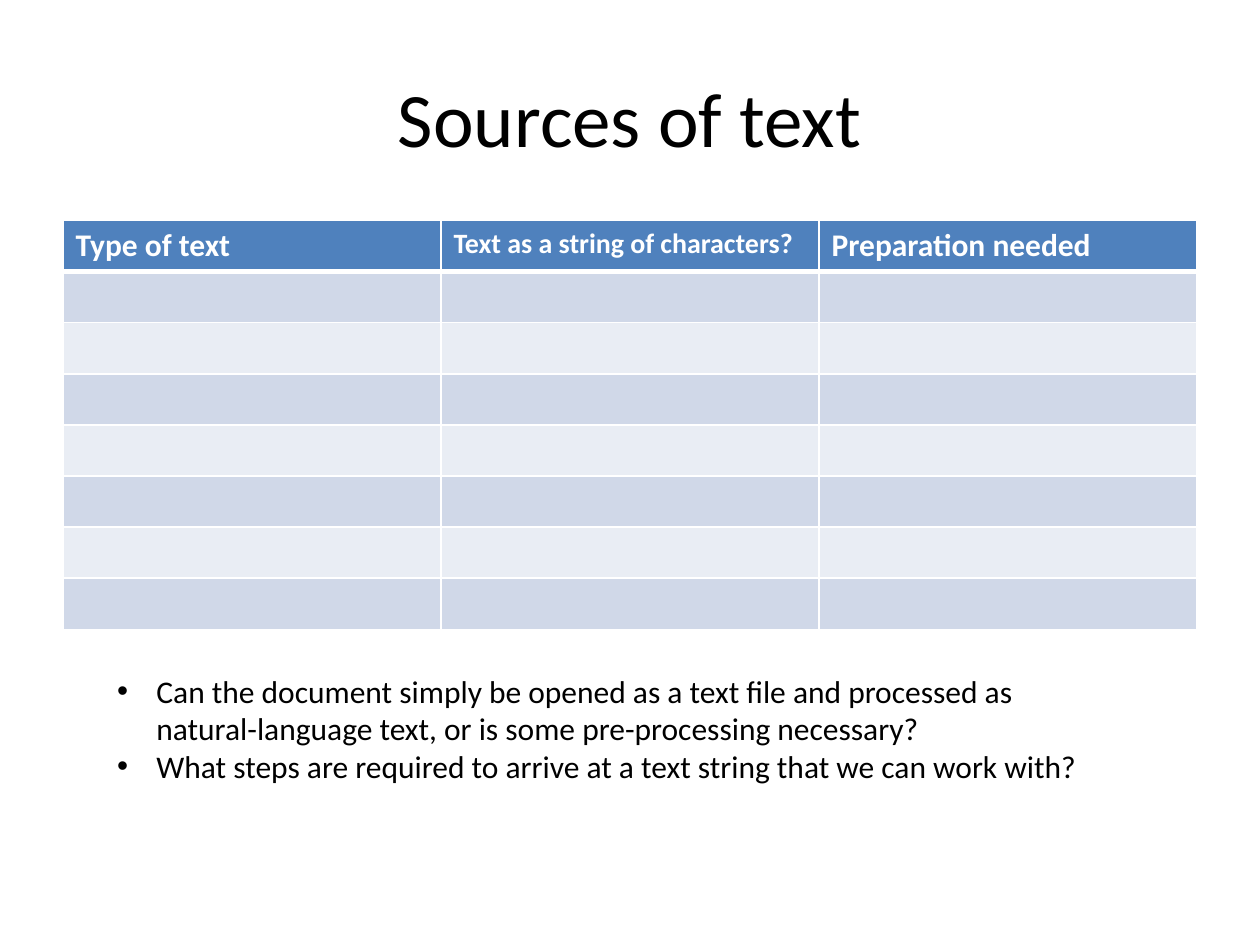
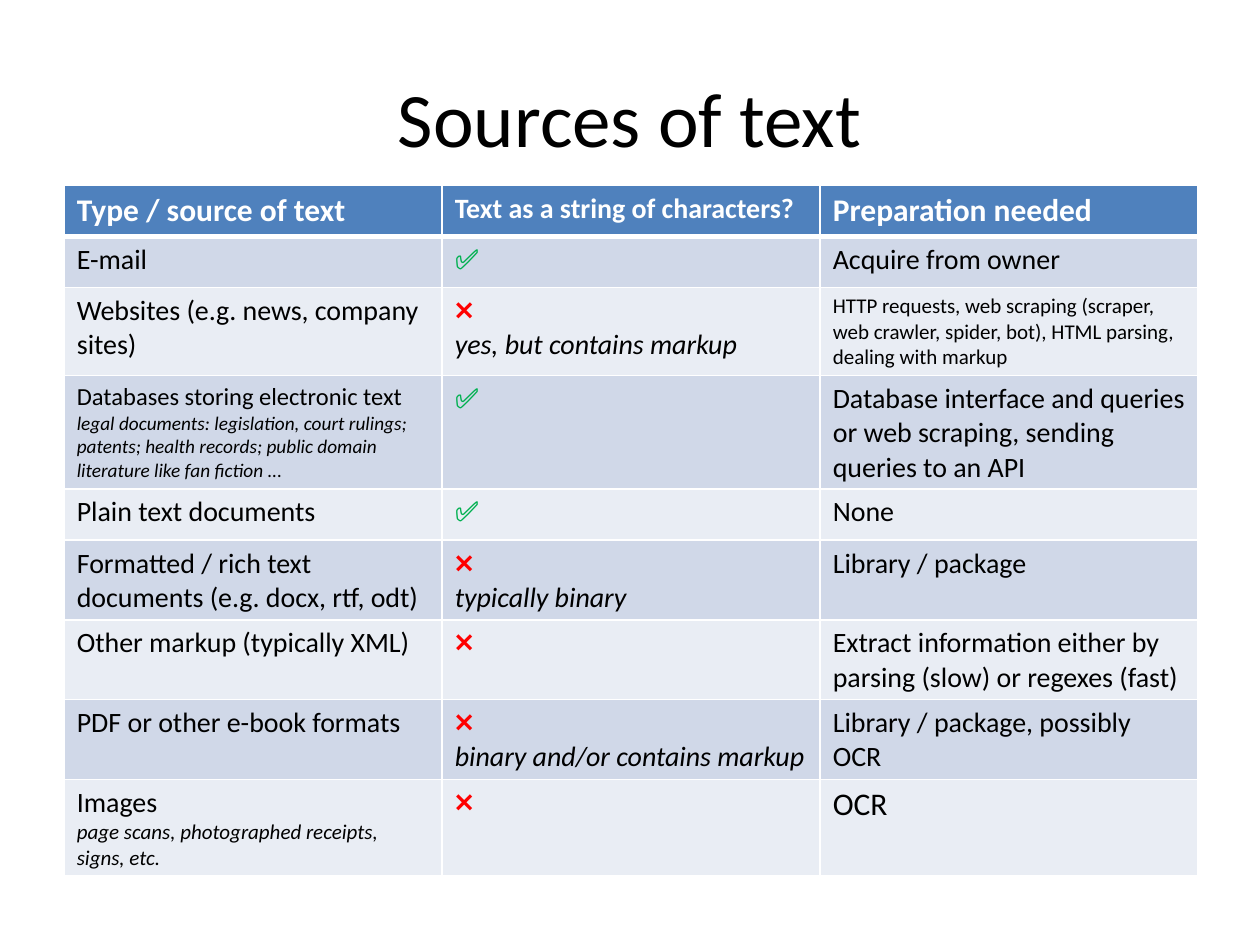
from dataclasses import dataclass

from lxml.etree import SubElement
from pptx import Presentation
from pptx.dml.color import RGBColor
from pptx.enum.text import MSO_ANCHOR, PP_ALIGN
from pptx.oxml.ns import qn
from pptx.util import Pt

FONT = "Calibri"
BLACK = RGBColor(0x00, 0x00, 0x00)
WHITE = RGBColor(0xFF, 0xFF, 0xFF)
HEADER_BLUE = RGBColor(0x4F, 0x81, 0xBD)
BANDS = (RGBColor(0xD0, 0xD8, 0xE8), RGBColor(0xE9, 0xED, 0xF4))
GREEN = RGBColor(0x00, 0xB0, 0x50)
RED = RGBColor(0xFF, 0x00, 0x00)

TITLE_BOX = (36, 21.6, 648, 90)
ROW_HEIGHT = 29.2
BULLET_INDENT = 22.5


@dataclass
class Line:
    text: str
    size: float = 16
    color: RGBColor = BLACK
    bold: bool = False
    italic: bool = False


def header(first_label):
    return [
        [Line(first_label, 18, WHITE, bold=True)],
        [Line("Text as a string of characters?", 16, WHITE, bold=True)],
        [Line("Preparation needed", 18, WHITE, bold=True)],
    ]


YES = Line("✅", color=GREEN)
NO = Line("❌", color=RED)

EMPTY_ROWS = [[[], [], []] for _ in range(7)]
SOURCE_ROWS = [
    [[Line("E-mail")], [YES], [Line("Acquire from owner")]],
    [
        [Line("Websites (e.g. news, company sites)")],
        [NO, Line("yes, but contains markup", italic=True)],
        [Line("HTTP requests, web scraping (scraper, web crawler, spider, bot), "
              "HTML parsing, dealing with markup", 12)],
    ],
    [
        [Line("Databases storing electronic text", 14),
         Line("legal documents: legislation, court rulings; patents; health records; "
              "public domain literature like fan fiction ...", 11, italic=True)],
        [YES],
        [Line("Database interface and queries or web scraping, sending queries to an API")],
    ],
    [[Line("Plain text documents")], [YES], [Line("None")]],
    [
        [Line("Formatted / rich text documents (e.g. docx, rtf, odt)")],
        [NO, Line("typically binary", italic=True)],
        [Line("Library / package")],
    ],
    [
        [Line("Other markup (typically XML)")],
        [NO],
        [Line("Extract information either by parsing (slow) or regexes (fast)")],
    ],
    [
        [Line("PDF or other e-book formats")],
        [NO, Line("binary and/or contains markup", italic=True)],
        [Line("Library / package, possibly OCR")],
    ],
    [
        [Line("Images"),
         Line("page scans, photographed receipts, signs, etc.", 12, italic=True)],
        [NO],
        [Line("OCR", 18)],
    ],
]
QUESTIONS = [
    Line("Can the document simply be opened as a text file and processed as "
         "natural-language text, or is some pre-processing necessary?", 18),
    Line("What steps are required to arrive at a text string that we can work with?", 18),
]


def write_lines(text_frame, lines):
    for index, line in enumerate(lines):
        paragraph = text_frame.add_paragraph() if index else text_frame.paragraphs[0]
        paragraph.text = line.text
        font = paragraph.font
        font.name = FONT
        font.size = Pt(line.size)
        font.color.rgb = line.color
        font.bold = line.bold
        font.italic = line.italic


def add_text(slide, box, lines):
    text_frame = slide.shapes.add_textbox(*map(Pt, box)).text_frame
    text_frame.word_wrap = True
    write_lines(text_frame, lines)
    return text_frame


def add_title(slide, box, title):
    text_frame = add_text(slide, box, [Line(title, 44)])
    text_frame.vertical_anchor = MSO_ANCHOR.MIDDLE
    text_frame.paragraphs[0].alignment = PP_ALIGN.CENTER


def add_bullets(slide, box, lines):
    for paragraph in add_text(slide, box, lines).paragraphs:
        properties = paragraph._p.get_or_add_pPr()
        properties.set("marL", str(Pt(BULLET_INDENT)))
        properties.set("indent", str(-Pt(BULLET_INDENT)))
        SubElement(properties, qn("a:buFont"), typeface="Arial")
        SubElement(properties, qn("a:buChar"), char="•")


def set_borders(cell, top, bottom):
    properties = cell._tc.get_or_add_tcPr()
    for side, width in (("L", 1), ("R", 1), ("T", top), ("B", bottom)):
        border = SubElement(properties, qn(f"a:ln{side}"), w=str(Pt(width)))
        fill = SubElement(border, qn("a:solidFill"))
        SubElement(fill, qn("a:srgbClr"), val=str(WHITE))


def add_source_table(slide, left, top, width, rows):
    column_count = len(rows[0])
    height = ROW_HEIGHT * len(rows)
    table = slide.shapes.add_table(
        len(rows), column_count, Pt(left), Pt(top), Pt(width), Pt(height)
    ).table
    for column in table.columns:
        column.width = Pt(width / column_count)
    for row_index, row in enumerate(rows):
        table.rows[row_index].height = Pt(ROW_HEIGHT)
        for column_index, lines in enumerate(row):
            cell = table.cell(row_index, column_index)
            set_borders(cell, 3 if row_index == 1 else 1, 3 if row_index == 0 else 1)
            cell.fill.solid()
            cell.fill.fore_color.rgb = BANDS[(row_index - 1) % 2] if row_index else HEADER_BLUE
            write_lines(cell.text_frame, lines)


def add_sources_slide(presentation, table_left, table_top, rows):
    slide = presentation.slides.add_slide(presentation.slide_layouts[6])
    add_title(slide, TITLE_BOX, "Sources of text")
    add_source_table(slide, table_left, table_top, 648, rows)
    return slide


def main():
    presentation = Presentation()
    presentation.slide_width = Pt(720)
    presentation.slide_height = Pt(540)
    question_slide = add_sources_slide(
        presentation, 36, 126, [header("Type of text")] + EMPTY_ROWS
    )
    add_bullets(question_slide, (59.8, 380.2, 584, 72.7), QUESTIONS)
    add_sources_slide(
        presentation, 36.7, 105.8, [header("Type / source of text")] + SOURCE_ROWS
    )
    presentation.save("out.pptx")


if __name__ == "__main__":
    main()
